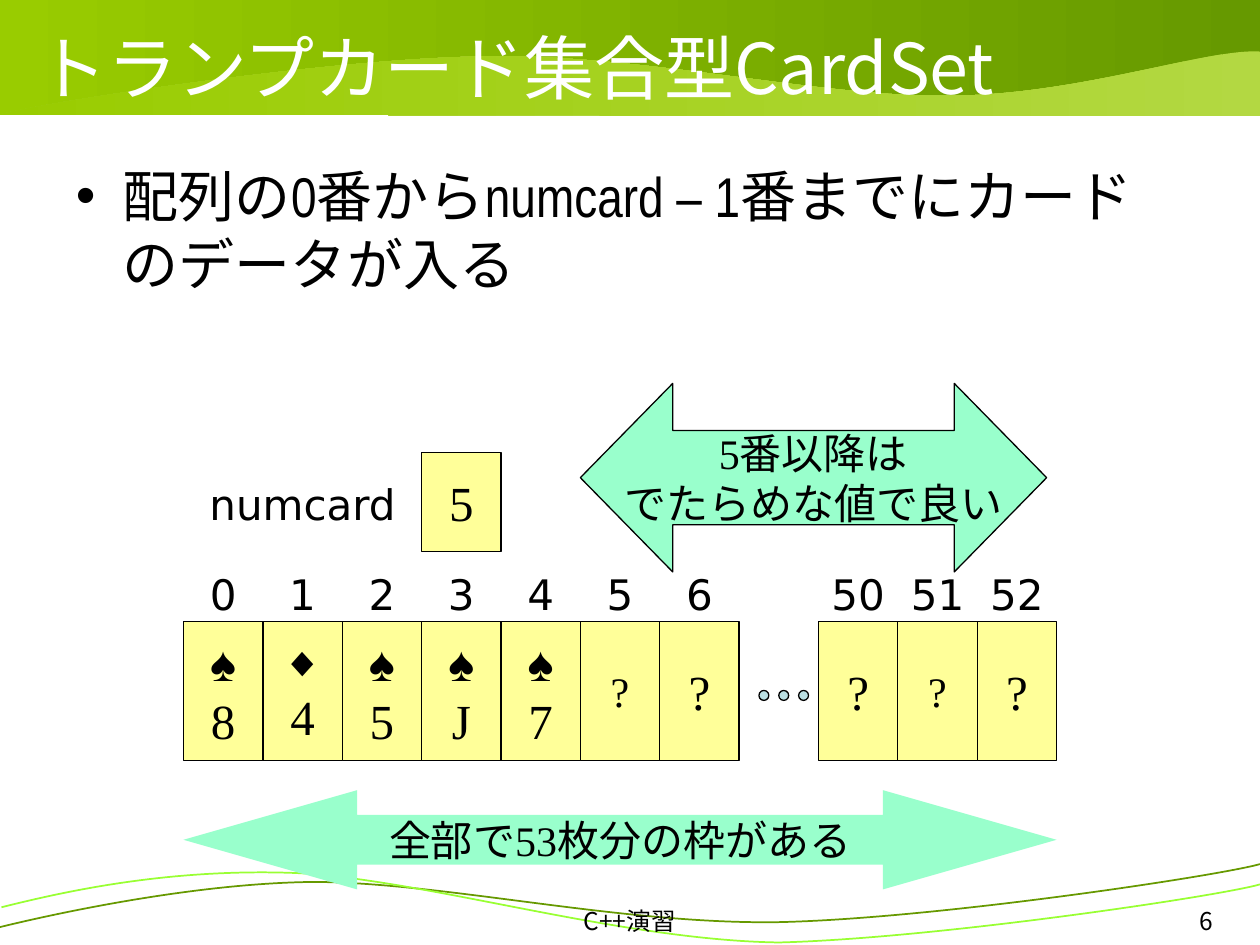
import lxml.etree
import pptx
import pptx.dml.color
import pptx.enum.shapes
import pptx.enum.text
import pptx.oxml.ns
import pptx.util

Cm = pptx.util.Cm
Pt = pptx.util.Pt
RGBColor = pptx.dml.color.RGBColor
PRESET = pptx.enum.shapes.MSO_SHAPE
ALIGN = pptx.enum.text.PP_ALIGN
ANCHOR = pptx.enum.text.MSO_ANCHOR
qn = pptx.oxml.ns.qn

BLACK = RGBColor(0x00, 0x00, 0x00)
WHITE = RGBColor(0xFF, 0xFF, 0xFF)
DARK_GREEN = RGBColor(0x66, 0x99, 0x00)
GREEN = RGBColor(0x99, 0xCC, 0x00)
PALE_GREEN = RGBColor(0xB3, 0xD8, 0x42)
BRIGHT_GREEN = RGBColor(0x99, 0xFF, 0x33)
YELLOW = RGBColor(0xFF, 0xFF, 0x99)
MINT = RGBColor(0x99, 0xFF, 0xCC)
PALE_BLUE = RGBColor(0xBB, 0xE0, 0xE3)

SERIF = "Times New Roman"
SANS = "DejaVu Sans"
JAPANESE = "Noto Sans CJK JP"

presentation = pptx.Presentation()
presentation.slide_width = Cm(25.4)
presentation.slide_height = Cm(19.05)
slide = presentation.slides.add_slide(presentation.slide_layouts[6])


def write_text(shape, text, sizes=(24,), font=SERIF, east_asian=SANS, color=BLACK,
               align=ALIGN.CENTER, anchor=ANCHOR.TOP, wrap=True, bullet=False):
    """Write one paragraph per line; sizes holds one size per line, the last repeats."""
    frame = shape.text_frame
    frame.word_wrap = wrap
    frame.vertical_anchor = anchor
    for index, line in enumerate(text.split("\n")):
        paragraph = frame.add_paragraph() if index else frame.paragraphs[0]
        paragraph.alignment = align
        run = paragraph.add_run()
        run.text = line
        run.font.size = Pt(sizes[min(index, len(sizes) - 1)])
        run.font.name = font
        run.font.color.rgb = color
        properties = run.font._element
        properties.set("lang", "ja-JP")
        lxml.etree.SubElement(properties, qn("a:ea")).set("typeface", east_asian)
        if bullet:
            paragraph.space_before = Pt(8)
            settings = paragraph._p.get_or_add_pPr()
            settings.set("marL", str(Cm(0.95)))
            settings.set("indent", str(-Cm(0.95)))
            lxml.etree.SubElement(settings, qn("a:buFont")).set("typeface", "Arial")
            lxml.etree.SubElement(settings, qn("a:buChar")).set("char", "•")


def add_curve(start, curve_points, corners=(), closed=False):
    """Draw cubic curves, three points each in centimetres, then straight corners."""
    builder = slide.shapes.build_freeform(Cm(start[0]), Cm(start[1]))
    builder.add_line_segments([(Cm(x), Cm(y)) for x, y in [*curve_points, *corners]],
                              close=closed)
    shape = builder.convert_to_shape()
    shape.shadow.inherit = False
    # Every three line segments become one cubic curve
    lines = list(shape._element.iter(qn("a:lnTo")))
    for first in range(0, len(curve_points), 3):
        curve = lxml.etree.Element(qn("a:cubicBezTo"))
        lines[first].addprevious(curve)
        for line in lines[first:first + 3]:
            curve.append(line[0])
            line.getparent().remove(line)
    return shape


# Header band and its wave
band = slide.shapes.add_shape(PRESET.RECTANGLE, 0, 0, Cm(25.4), Cm(2.31))
band.shadow.inherit = False
wave = add_curve((0, 2.31), [(0.79, 2.08), (6.53, 1.19), (9.7, 1.14),
                             (12.9, 1.07), (16.48, 1.96), (19.1, 1.93),
                             (21.72, 1.93), (24.33, 0.97), (25.4, 1.04)],
                 corners=[(25.4, 2.34)], closed=True)
for shape, right_color in ((band, DARK_GREEN), (wave, PALE_GREEN)):
    shape.line.fill.background()
    shape.fill.gradient()
    shape.fill.gradient_angle = 180
    for stop, color in zip(shape.fill.gradient_stops, (right_color, GREEN)):
        stop.color.rgb = color

# Footer waves
footer_waves = [
    (DARK_GREEN, (25.4, 17.42), [(24.61, 17.65), (18.87, 18.52), (15.7, 18.59),
                                 (12.5, 18.64), (8.92, 17.78), (6.3, 17.78),
                                 (3.68, 17.81), (0.61, 18.54), (0, 18.69)]),
    (BRIGHT_GREEN, (25.4, 17.83), [(24.61, 18.06), (18.87, 18.92), (15.7, 19),
                                   (12.45, 18.95), (8.59, 17.73), (5.97, 17.6),
                                   (3.38, 17.5), (1.27, 17.98), (0.03, 18.29)]),
]
for color, start, curve_points in footer_waves:
    shape = add_curve(start, curve_points)
    shape.fill.background()
    shape.line.color.rgb = color
    shape.line.width = Pt(1)

# Array geometry
CELL = 1.6
ARRAY_LEFT = 3.7
LABEL_TOP, CELL_TOP, CELL_HEIGHT = 11.33, 12.53, 2.8

# Slot in the row, index, content, text sizes
cells = [(0, "0", "♠\n8", (28,)), (1, "1", "◆\n4", (24, 28)), (2, "2", "♠\n5", (28,)),
         (3, "3", "♠\nJ", (28,)), (4, "4", "♠\n7", (28,)), (5, "5", "?", (24,)),
         (6, "6", "?", (28,)), (8, "50", "?", (28,)), (9, "51", "?", (24,)),
         (10, "52", "?", (28,))]

# Text boxes: left, top, width, height, text, format
label = dict(font=SANS)
footer = dict(font=JAPANESE, east_asian=JAPANESE, sizes=(14,))
texts = [
    (0.5, 0.56, 24.4, 1.55, "トランプカード集合型CardSet",
     dict(sizes=(40,), font=JAPANESE, east_asian=JAPANESE, color=WHITE,
          align=ALIGN.LEFT, anchor=ANCHOR.MIDDLE)),
    (1.28, 3.14, 22.86, 14.4, "配列の0番からnumcard – 1番までにカードのデータが入る",
     dict(sizes=(32,), font="Arial Narrow", align=ALIGN.LEFT, bullet=True)),
    (ARRAY_LEFT, 9.53, 3 * CELL, 1.27, "numcard", label),
    (8.67, 18.13, 8.05, 0.56, "C++演習", footer),
    (18.79, 18.13, 5.92, 0.56, "6", dict(footer, align=ALIGN.RIGHT)),
]
texts += [(ARRAY_LEFT + slot * CELL, LABEL_TOP, CELL, 1.27, index, label)
          for slot, index, content, sizes in cells]
for left, top, width, height, text, text_format in texts:
    box = slide.shapes.add_textbox(Cm(left), Cm(top), Cm(width), Cm(height))
    write_text(box, text, **text_format)

# Shapes: preset, left, top, width, height, fill, outlined, adjustments, text, sizes
shapes = [(PRESET.RECTANGLE, ARRAY_LEFT + slot * CELL, CELL_TOP, CELL, CELL_HEIGHT,
           YELLOW, True, (), content, sizes) for slot, index, content, sizes in cells]
shapes += [(PRESET.OVAL, 15.3 + 0.4 * dot, 13.92, 0.2, 0.2, PALE_BLUE, True, (), "", ())
           for dot in range(3)]
shapes += [
    (PRESET.RECTANGLE, ARRAY_LEFT + 3 * CELL, 9.12, CELL, 2, YELLOW, True, (), "5", (28,)),
    (PRESET.LEFT_RIGHT_ARROW, ARRAY_LEFT, 15.93, 11 * CELL, 2, MINT, False,
     (0.5, 1.75), "全部で53枚分の枠がある", (24,)),
    (PRESET.LEFT_RIGHT_ARROW, ARRAY_LEFT + 5 * CELL, 7.73, 9.4, 3.8, MINT, True,
     (0.5, 0.49), "5番以降は\nでたらめな値で良い", (24,)),
]
for preset, left, top, width, height, fill, outlined, adjustments, text, sizes in shapes:
    shape = slide.shapes.add_shape(preset, Cm(left), Cm(top), Cm(width), Cm(height))
    shape.shadow.inherit = False
    shape.fill.solid()
    shape.fill.fore_color.rgb = fill
    if outlined:
        shape.line.color.rgb = BLACK
        shape.line.width = Pt(0.75)
    else:
        shape.line.fill.background()
    for number, value in enumerate(adjustments):
        shape.adjustments[number] = value
    if text:
        write_text(shape, text, sizes=sizes, anchor=ANCHOR.MIDDLE, wrap=False)

presentation.save("out.pptx")
